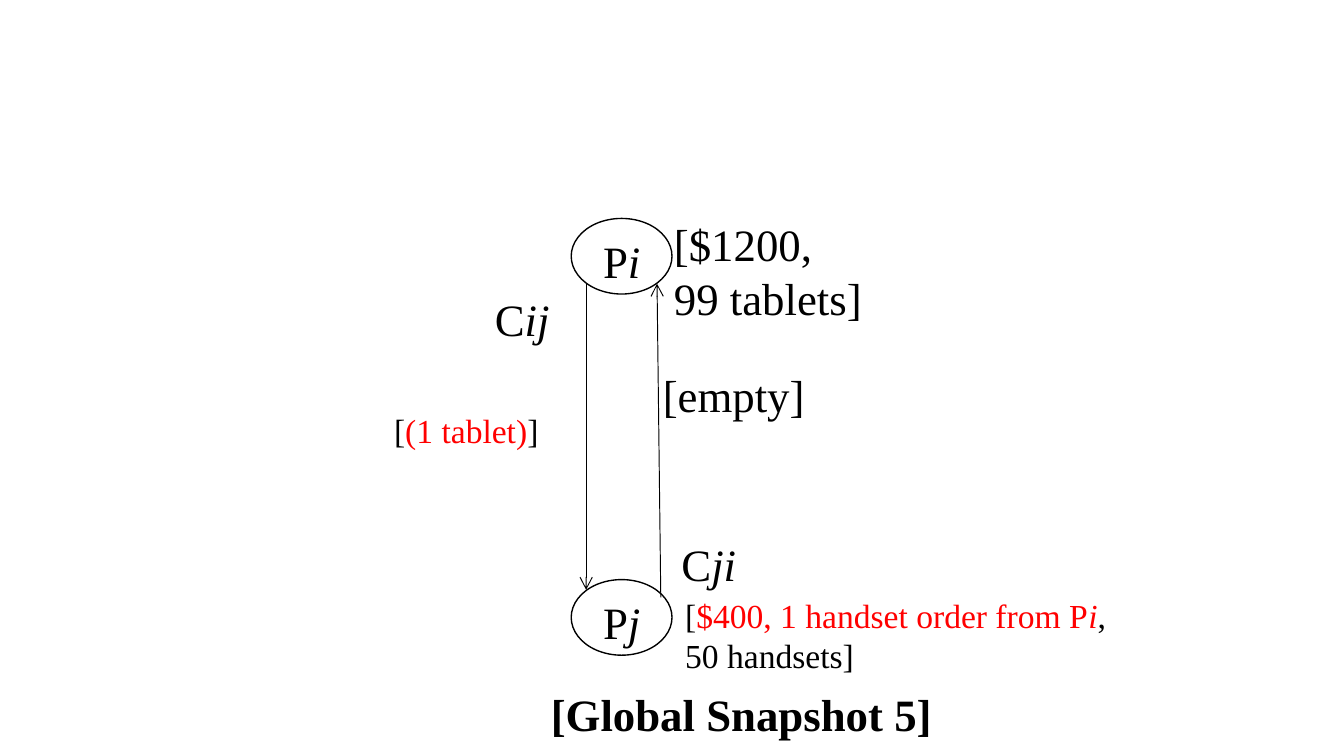
from lxml import etree
from pptx import Presentation
from pptx.dml.color import RGBColor
from pptx.enum import shapes as kinds
from pptx.oxml import ns
from pptx.util import Pt

BLACK, RED = "000000", "FF0000"
FONT = "Times New Roman"

# Processes: index letter, top of the ellipse
processes = [("i", 117), ("j", 310.5)]
NODE_LEFT, NODE_WIDTH, NODE_HEIGHT = 306, 54, 40.5

# Channels: start, end
channels = [((314, 152), (314, 316)), ((354, 320), (352, 152))]

# Labels: left, top, width, height, size, paragraphs of (text, style) runs
labels = [
    (204, 216, 162, 58, 18, [[("[", ""), ("(1 tablet)", "red"), ("]", "")]]),
    (258, 153, 50, 36, 24, [[("C", ""), ("ij", "italic")]]),
    (358, 284, 50, 36, 24, [[("C", ""), ("ji", "italic")]]),
    (354, 112.5, 130, 65, 24, [[("[$1200,", "")], [("99 tablets]", "")]]),
    (360, 315, 288, 51, 18, [
        [("[", ""), ("$400, 1 handset order from P", "red"),
         ("i", "red italic"), (",", "")],
        [("50 handsets]", "")]]),
    (288, 364.5, 220, 36, 24, [[("[Global Snapshot 5]", "bold")]]),
    (348, 193.5, 228, 36, 24, [[("[empty]", "")]]),
]


def color(hex_code):
    return RGBColor.from_string(hex_code)


def add_label(slide, left, top, width, height, size, paragraphs):
    box = slide.shapes.add_textbox(Pt(left), Pt(top), Pt(width), Pt(height))
    frame = box.text_frame
    frame.word_wrap = True
    for number, runs in enumerate(paragraphs):
        paragraph = frame.add_paragraph() if number else frame.paragraphs[0]
        paragraph.font.name = FONT
        paragraph.font.size = Pt(size)
        for words, style in runs:
            run = paragraph.add_run()
            run.text = words
            run.font.color.rgb = color(RED if "red" in style else BLACK)
            if "italic" in style:
                run.font.italic = True
            if "bold" in style:
                run.font.bold = True


def add_process(slide, index, top):
    node = slide.shapes.add_shape(
        kinds.MSO_SHAPE.OVAL,
        Pt(NODE_LEFT), Pt(top), Pt(NODE_WIDTH), Pt(NODE_HEIGHT))
    node.shadow.inherit = False
    node.fill.background()
    node.line.color.rgb = color(BLACK)
    node.line.width = Pt(0.75)
    add_label(slide, NODE_LEFT + 10, top + 4.5, 41, 36, 24,
              [[("P", ""), (index, "italic")]])


def add_channel(slide, start, end):
    arrow = slide.shapes.add_connector(
        kinds.MSO_CONNECTOR.STRAIGHT, *(Pt(value) for value in start + end))
    arrow.line.color.rgb = color(BLACK)
    arrow.line.width = Pt(0.5)
    outline = arrow.line._get_or_add_ln()
    etree.SubElement(outline, ns.qn("a:tailEnd"), type="arrow")
    etree.SubElement(arrow._element.spPr, ns.qn("a:effectLst"))


def main():
    deck = Presentation()
    deck.slide_width, deck.slide_height = Pt(720), Pt(405)
    slide = deck.slides.add_slide(deck.slide_layouts[6])
    for process in processes:
        add_process(slide, *process)
    for channel in channels:
        add_channel(slide, *channel)
    for label in labels:
        add_label(slide, *label)
    deck.save("out.pptx")


if __name__ == "__main__":
    main()
